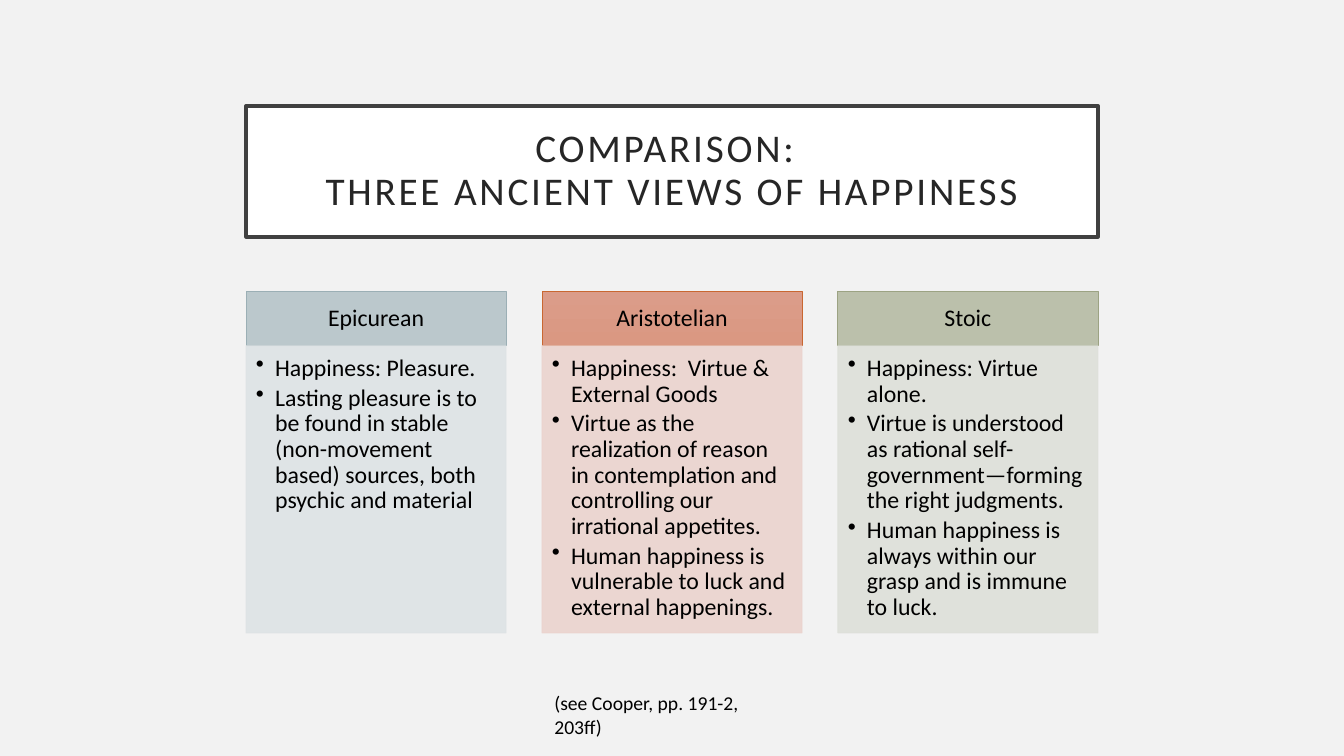
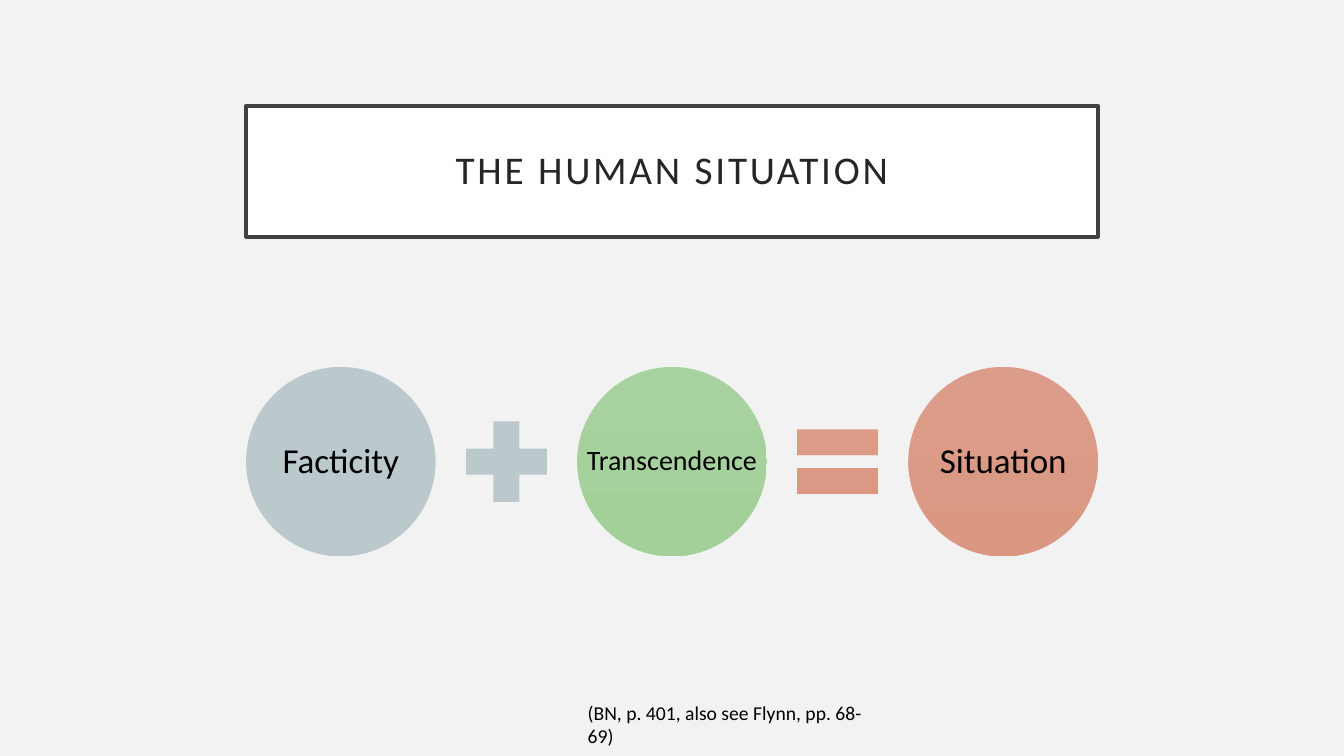
import dataclasses

import lxml.etree
import pptx
import pptx.dml.color
import pptx.enum.shapes
import pptx.enum.text
import pptx.oxml.ns
import pptx.util

Inches = pptx.util.Inches
Pt = pptx.util.Pt
Shapes = pptx.enum.shapes.MSO_SHAPE
Align = pptx.enum.text.PP_ALIGN
Anchor = pptx.enum.text.MSO_ANCHOR


@dataclasses.dataclass(frozen=True)
class Box:
    left: float
    top: float
    width: float
    height: float

    def lengths(self):
        return [Inches(value) for value in (self.left, self.top, self.width, self.height)]


@dataclasses.dataclass(frozen=True)
class Tone:
    start: str
    end: str
    edge: str = ""
    pale: str = ""


@dataclasses.dataclass(frozen=True)
class Theme:
    font: str = "Calibri"
    background: str = "F2F2F2"
    panel: str = "FFFFFF"
    frame: str = "404040"
    title_text: str = "262626"
    text: str = "000000"
    title_size: float = 28
    term_size: float = 25
    long_term_size: float = 20
    column_size: float = 17
    note_size: float = 14
    blue: Tone = Tone("BBC8CC", "B8C6CB", "9BAFB5", "DEE3E5")
    coral: Tone = Tone("DB9C89", "DA9882", "C96731", "EBD3CE")
    olive: Tone = Tone("BBC0AB", "B9BEA8", "9CA383", "DEE0D9")
    green: Tone = Tone("A7D19E", "A3D099")


THEME = Theme()
TITLE_BOX = Box(2.44, 1.05, 8.45, 1.3)
COLUMNS_BOX = Box(2.44, 2.89, 8.45, 3.39)
EQUATION_BOX = Box(2.44, 3.64, 8.45, 1.88)


def rgb(value):
    return pptx.dml.color.RGBColor.from_string(value)


def set_solid(fill, color, opacity=100):
    fill.solid()
    fill.fore_color.rgb = rgb(color)


def set_gradient(fill, tone):
    fill.gradient()
    fill.gradient_angle = 270
    for stop, color in zip(fill.gradient_stops, (tone.start, tone.end)):
        stop.color.rgb = rgb(color)


def set_opacity(shape, percent):
    for color in shape._element.spPr.iter(pptx.oxml.ns.qn("a:srgbClr")):
        alpha = lxml.etree.SubElement(color, pptx.oxml.ns.qn("a:alpha"))
        alpha.set("val", str(percent * 1000))


def set_line(shape, color, width):
    set_solid(shape.line.fill, color)
    shape.line.width = Pt(width)


def set_insets(text_frame, left, top, right, bottom):
    text_frame.margin_left = Inches(left)
    text_frame.margin_top = Inches(top)
    text_frame.margin_right = Inches(right)
    text_frame.margin_bottom = Inches(bottom)


def format_text(text_frame, size, color=THEME.text, align=Align.LEFT, spacing=0.9):
    for paragraph in text_frame.paragraphs:
        paragraph.alignment = align
        paragraph.line_spacing = spacing
        for run in paragraph.runs:
            run.font.name = THEME.font
            run.font.size = Pt(size)
            run.font.color.rgb = rgb(color)


def add_bullet(paragraph):
    properties = paragraph._p.get_or_add_pPr()
    properties.set("marL", str(Inches(0.19)))
    properties.set("indent", str(-Inches(0.19)))
    bullet = lxml.etree.SubElement(properties, pptx.oxml.ns.qn("a:buChar"))
    bullet.set("char", "•")


def add_plain_shape(slide, kind, box):
    shape = slide.shapes.add_shape(kind, *box.lengths())
    shape.shadow.inherit = False
    shape.line.fill.background()
    return shape


def add_titled_slide(presentation, title):
    slide = presentation.slides.add_slide(presentation.slide_layouts[5])
    shape = slide.shapes.title
    shape.left, shape.top, shape.width, shape.height = TITLE_BOX.lengths()
    set_solid(shape.fill, THEME.panel)
    set_line(shape, THEME.frame, 2.5)
    text_frame = shape.text_frame
    text_frame.text = title
    text_frame.word_wrap = True
    text_frame.auto_size = pptx.enum.text.MSO_AUTO_SIZE.NONE
    text_frame.vertical_anchor = Anchor.MIDDLE
    set_insets(text_frame, 0.2, 0.2, 0.2, 0.2)
    format_text(text_frame, THEME.title_size, THEME.title_text, Align.CENTER)
    for run in text_frame.paragraphs[0].runs:
        run._r.get_or_add_rPr().set("spc", "200")
    return slide


def add_note(slide, box, text):
    text_frame = slide.shapes.add_textbox(*box.lengths()).text_frame
    text_frame.text = text
    text_frame.word_wrap = True
    format_text(text_frame, THEME.note_size, spacing=1.0)


def add_column(slide, box, heading, points, tone):
    header_height = 0.54
    header = add_plain_shape(
        slide, Shapes.RECTANGLE, Box(box.left, box.top, box.width, header_height)
    )
    set_gradient(header.fill, tone)
    set_line(header, tone.edge, 0.5)
    header.text_frame.text = heading
    header.text_frame.vertical_anchor = Anchor.MIDDLE
    set_insets(header.text_frame, 0.13, 0.08, 0.13, 0.08)
    format_text(header.text_frame, THEME.column_size, align=Align.CENTER)

    body = add_plain_shape(
        slide,
        Shapes.RECTANGLE,
        Box(box.left, box.top + header_height, box.width, box.height - header_height),
    )
    set_solid(body.fill, tone.pale)
    set_line(body, tone.pale, 0.5)
    set_opacity(body, 90)
    text_frame = body.text_frame
    text_frame.text = "\n".join(points)
    text_frame.word_wrap = True
    text_frame.vertical_anchor = Anchor.TOP
    set_insets(text_frame, 0.1, 0.1, 0.13, 0.15)
    for paragraph in text_frame.paragraphs:
        add_bullet(paragraph)
        paragraph.space_after = Pt(2.8)
    format_text(text_frame, THEME.column_size)


def add_columns(slide, box, columns):
    width = 2.58
    pitch = (box.width - width) / (len(columns) - 1)
    for index, column in enumerate(columns):
        add_column(slide, Box(box.left + index * pitch, box.top, width, box.height), *column)


def add_equation(slide, box, parts):
    symbol_size = 1.09
    sizes = [box.height if text else symbol_size for kind, text, size, tone in parts]
    gap = (box.width - sum(sizes)) / (len(parts) - 1)
    left = box.left
    for (kind, text, text_size, tone), size in zip(parts, sizes):
        top = box.top + (box.height - size) / 2
        shape = add_plain_shape(slide, kind, Box(left, top, size, size))
        set_gradient(shape.fill, tone)
        if text:
            shape.text_frame.text = text
            shape.text_frame.word_wrap = False
            shape.text_frame.vertical_anchor = Anchor.MIDDLE
            set_insets(shape.text_frame, 0.03, 0.03, 0.03, 0.03)
            format_text(shape.text_frame, text_size, align=Align.CENTER)
        left += size + gap


def build_comparison(presentation):
    slide = add_titled_slide(
        presentation, "COMPARISON: \vTHREE ANCIENT VIEWS OF HAPPINESS"
    )
    epicurean = [
        "Happiness: Pleasure.",
        "Lasting pleasure is to be found in stable (non-movement based) sources, "
        "both psychic and material",
    ]
    aristotelian = [
        "Happiness:  Virtue & External Goods",
        "Virtue as the realization of reason in contemplation and controlling "
        "our irrational appetites.",
        "Human happiness is vulnerable to luck and external happenings.",
    ]
    stoic = [
        "Happiness: Virtue alone.",
        "Virtue is understood as rational self-government—forming the right judgments.",
        "Human happiness is always within our grasp and is immune to luck.",
    ]
    columns = [
        ("Epicurean", epicurean, THEME.blue),
        ("Aristotelian", aristotelian, THEME.coral),
        ("Stoic", stoic, THEME.olive),
    ]
    add_columns(slide, COLUMNS_BOX, columns)
    add_note(slide, Box(5.4, 6.81, 2.53, 0.34), "(see Cooper, pp. 191-2, 203ff)")


def build_human_situation(presentation):
    slide = add_titled_slide(presentation, "THE HUMAN SITUATION")
    parts = [
        (Shapes.OVAL, "Facticity", THEME.term_size, THEME.blue),
        (Shapes.MATH_PLUS, "", 0, THEME.blue),
        (Shapes.OVAL, "Transcendence", THEME.long_term_size, THEME.green),
        (Shapes.MATH_EQUAL, "", 0, THEME.coral),
        (Shapes.OVAL, "Situation", THEME.term_size, THEME.coral),
    ]
    add_equation(slide, EQUATION_BOX, parts)
    add_note(slide, Box(5.73, 6.9, 3.12, 0.34), "(BN, p. 401, also see Flynn, pp. 68-69)")


def main():
    presentation = pptx.Presentation()
    presentation.slide_width = Inches(13.33)
    presentation.slide_height = Inches(7.5)
    set_solid(presentation.slide_master.background.fill, THEME.background)
    build_comparison(presentation)
    build_human_situation(presentation)
    presentation.save("out.pptx")


if __name__ == "__main__":
    main()
